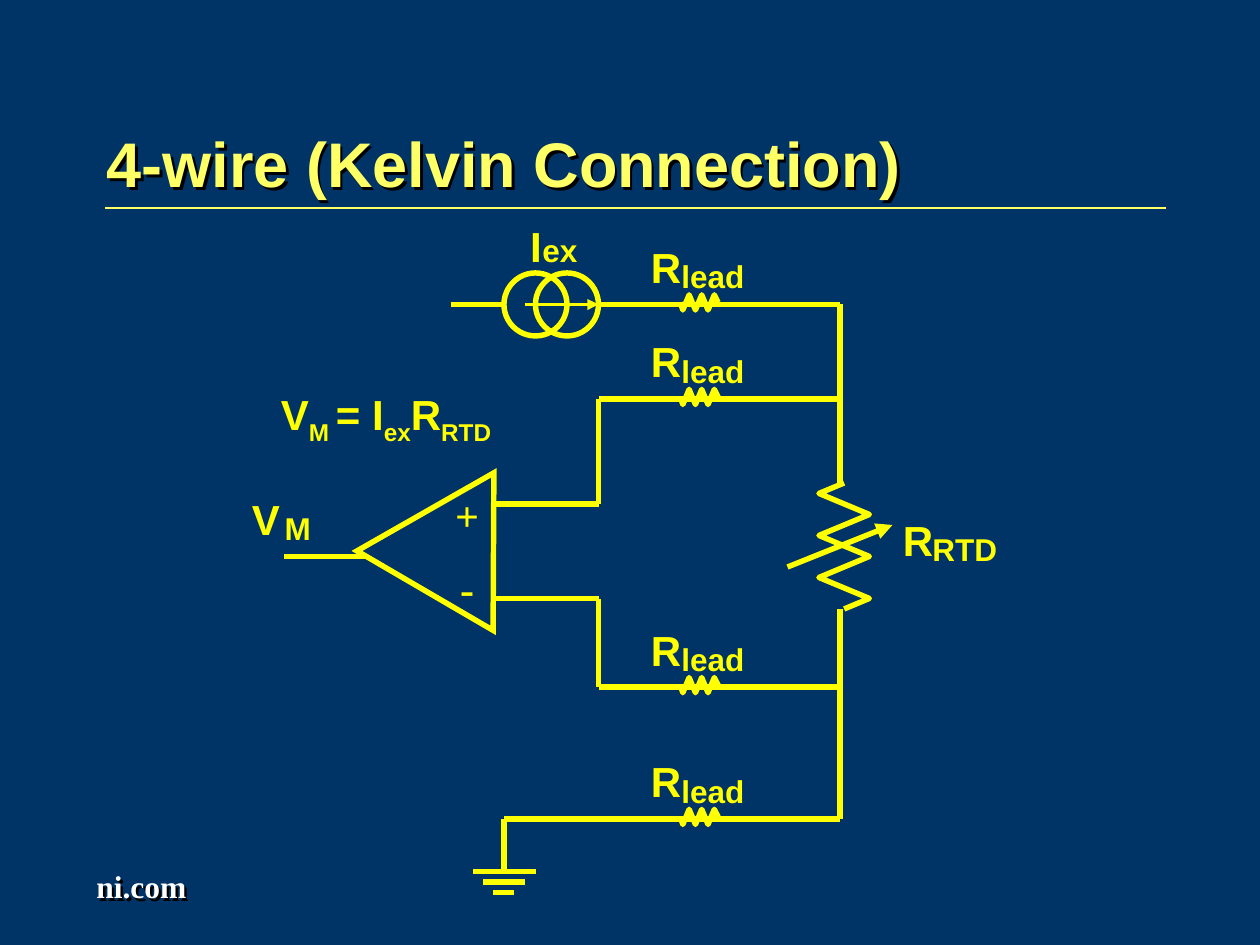
from dataclasses import dataclass

import lxml.etree
import pptx
import pptx.dml.color
import pptx.enum.shapes
import pptx.enum.text
import pptx.oxml.ns
import pptx.util


@dataclass(frozen=True)
class Theme:
    background: str = "003366"
    title: str = "FFFF66"
    circuit: str = "FFFF00"
    footer: str = "FFFFFF"
    shadow: str = "000000"
    sans: str = "Arial"
    serif: str = "Times New Roman"
    title_size: float = 36
    label_size: float = 24
    small_size: float = 18
    rule_width: float = 1
    arrow_width: float = 2.13
    wire_width: float = 3.12


THEME = Theme()
COLUMNS, ROWS = 120, 90
CELL = pptx.util.Inches(10) / COLUMNS

SOURCE_ROW = 29
LEAD_ROWS = (SOURCE_ROW, 38, 65.45, 78)
AMPLIFIER_ROWS = (48, 57)
LOAD_COLUMN, SENSE_COLUMN, GROUND_COLUMN = 80, 57, 48
RTD_TOP, RTD_BOTTOM = 46, 58


def cells(*values):
    """Turn grid columns or rows into EMU."""
    return [round(value * CELL) for value in values]


def rgb(color):
    return pptx.dml.color.RGBColor.from_string(color)


def add_child(parent, tag, **attributes):
    return lxml.etree.SubElement(parent, pptx.oxml.ns.qn(tag), attributes)


def style_line(line, color=THEME.circuit, width=THEME.wire_width):
    line.color.rgb = rgb(color)
    line.width = pptx.util.Pt(width)


def add_line(slide, start, end, color=THEME.circuit, width=THEME.wire_width, arrow=False):
    connector = slide.shapes.add_connector(
        pptx.enum.shapes.MSO_CONNECTOR.STRAIGHT, *cells(*start, *end))
    style_line(connector.line, color, width)
    if arrow:
        add_child(connector.line._get_or_add_ln(), "a:tailEnd", type="triangle")
    add_child(connector._element.spPr, "a:effectLst")


def style_outline(shape):
    shape.shadow.inherit = False
    shape.fill.background()
    style_line(shape.line)


def add_outline(slide, kind, *box):
    shape = slide.shapes.add_shape(kind, *cells(*box))
    style_outline(shape)
    return shape


def add_zigzag(slide, points):
    points = [cells(*point) for point in points]
    builder = slide.shapes.build_freeform(*points[0])
    builder.add_line_segments(points[1:], close=False)
    style_outline(builder.convert_to_shape())


def add_text(slide, box, runs, size=THEME.label_size, color=THEME.circuit,
             font=THEME.sans, inset=False, wrap=False, shadow=False, centred=False):
    """Add one paragraph of (text, baseline percent) runs."""
    shape = slide.shapes.add_textbox(*cells(*box))
    frame = shape.text_frame
    frame.word_wrap = wrap
    if not inset:
        frame.margin_left = frame.margin_right = 0
        frame.margin_top = frame.margin_bottom = 0
    if shadow:
        effects = add_child(shape._element.spPr, "a:effectLst")
        outer = add_child(effects, "a:outerShdw", dist="25400", dir="2700000")
        add_child(outer, "a:srgbClr", val=THEME.shadow)
    paragraph = frame.paragraphs[0]
    if centred:
        paragraph.alignment = pptx.enum.text.PP_ALIGN.CENTER
    for text, baseline in runs:
        run = paragraph.add_run()
        run.text = text
        run.font.size = pptx.util.Pt(size)
        run.font.bold = True
        run.font.color.rgb = rgb(color)
        run.font.name = font
        if baseline:
            run.font._element.set("baseline", str(baseline * 1000))
    return frame


def add_symbol(slide, left, top, letter, letter_width, suffix, suffix_width,
               suffix_drop=1.5):
    """Add a quantity's letter with its smaller suffix beside it."""
    add_text(slide, (left, top, letter_width, 4.8), [(letter, 0)])
    add_text(slide, (left + letter_width, top + suffix_drop, suffix_width, 3.6),
             [(suffix, 0)], THEME.small_size)


def add_lead(slide, row):
    """Add a wire to the load with its lead resistance."""
    add_line(slide, (LOAD_COLUMN, row), (SENSE_COLUMN, row))
    left, middle = 64.8, row - 0.2
    peaks = [(left + 0.24 + 0.6 * i, middle + 0.72 * (-1) ** i) for i in range(6)]
    add_zigzag(slide, [(left, middle), *peaks, (left + 3.6, middle)])
    add_symbol(slide, 62, row - 6, "R", 2.9, "lead", 6.4)


def add_current_source(slide):
    for left in (48, 51):
        add_outline(slide, pptx.enum.shapes.MSO_SHAPE.OVAL, left, SOURCE_ROW - 3, 6, 6)
    add_line(slide, (43, SOURCE_ROW), (48, SOURCE_ROW))
    add_line(slide, (50, SOURCE_ROW), (SENSE_COLUMN, SOURCE_ROW),
             width=THEME.arrow_width, arrow=True)
    add_symbol(slide, 50.5, 21, "I", 1.15, "ex", 3.6, suffix_drop=1)


def add_amplifier(slide):
    triangle = add_outline(
        slide, pptx.enum.shapes.MSO_SHAPE.ISOSCELES_TRIANGLE, 33, 46, 15, 13)
    triangle.rotation = 270.3
    add_child(triangle.line._get_or_add_ln(), "a:miter", lim="800000")
    for sign, top, row, lead_row in zip("+-", (46, 53), AMPLIFIER_ROWS, LEAD_ROWS[1:3]):
        add_text(slide, (41, top, 7, 6), [(sign, 0)], font=THEME.serif,
                 inset=True, wrap=True, centred=True)
        add_line(slide, (SENSE_COLUMN, row), (47, row))
        add_line(slide, (SENSE_COLUMN, row), (SENSE_COLUMN, lead_row))
    add_line(slide, (35, 53), (27, 53))
    add_symbol(slide, 24, 47, "V", 3.1, "M", 2.8)


def add_ground(slide):
    row = LEAD_ROWS[-1]
    add_line(slide, (GROUND_COLUMN, row), (SENSE_COLUMN, row))
    add_line(slide, (GROUND_COLUMN, row + 5), (GROUND_COLUMN, row))
    for step in range(3):
        reach = 3 - step
        add_line(slide, (GROUND_COLUMN + reach, row + 5 + step),
                 (GROUND_COLUMN - reach, row + 5 + step))


def add_rtd(slide):
    """Add the variable resistor and the wires above and below it."""
    turns = [(82.8 if i % 2 == 0 else 78, RTD_BOTTOM - 1 - 2 * i) for i in range(6)]
    add_zigzag(slide, [(80.4, RTD_BOTTOM), *turns, (80.4, RTD_TOP)])
    add_line(slide, (LOAD_COLUMN, RTD_TOP), (LOAD_COLUMN, LEAD_ROWS[0]))
    add_line(slide, (LOAD_COLUMN, LEAD_ROWS[-1]), (LOAD_COLUMN, RTD_BOTTOM))
    add_line(slide, (75, 54), (85, 50), arrow=True)
    add_symbol(slide, 86, 49, "R", 2.8, "RTD", 6.8)


def add_frame(slide):
    """Add the title, its rule and the footer."""
    add_line(slide, (10, 19.8), (111, 19.8), THEME.title, THEME.rule_width)
    title = add_text(slide, (9, 8, 102, 15), [("4-wire (Kelvin Connection)", 0)],
                     THEME.title_size, THEME.title, inset=True, wrap=True, shadow=True)
    title.vertical_anchor = pptx.enum.text.MSO_ANCHOR.MIDDLE
    add_text(slide, (8, 82, 12, 4.8), [("ni.com", 0)], THEME.small_size,
             THEME.footer, THEME.serif, inset=True, shadow=True)


def main():
    presentation = pptx.Presentation()
    presentation.slide_width, presentation.slide_height = cells(COLUMNS, ROWS)
    slide = presentation.slides.add_slide(presentation.slide_layouts[6])
    slide.background.fill.solid()
    slide.background.fill.fore_color.rgb = rgb(THEME.background)

    add_frame(slide)
    add_current_source(slide)
    for row in LEAD_ROWS:
        add_lead(slide, row)
    add_ground(slide)
    add_amplifier(slide)
    add_rtd(slide)
    add_text(slide, (26.75, 37, 21, 5.5),
             [("V", 0), ("M ", -25), ("= I", 0), ("ex", -25), ("R", 0), ("RTD", -25)])
    presentation.save("out.pptx")


if __name__ == "__main__":
    main()
